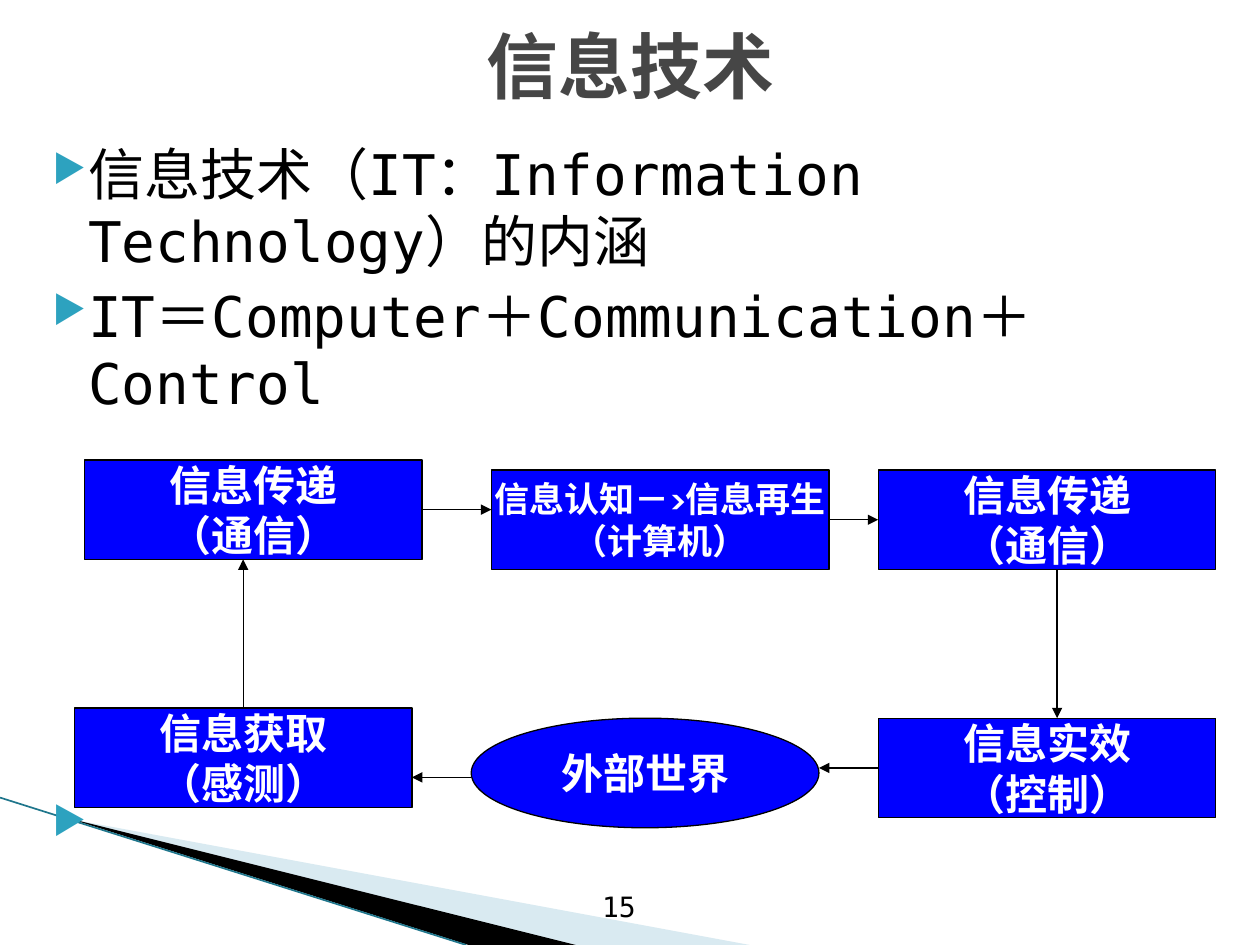
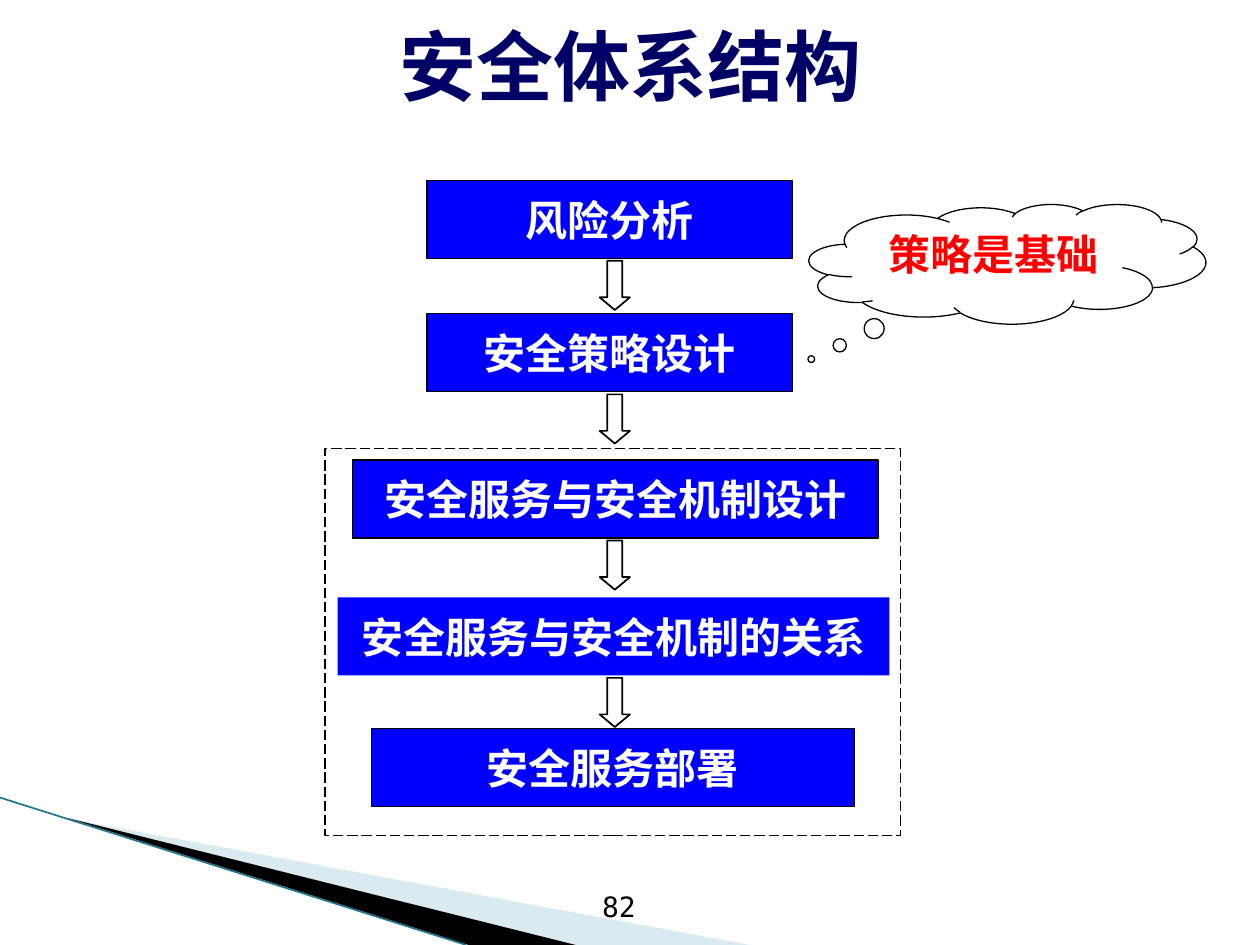
from lxml.etree import SubElement
from pptx import Presentation
from pptx.dml.color import RGBColor
from pptx.enum.dml import MSO_LINE
from pptx.enum.shapes import MSO_CONNECTOR, MSO_SHAPE
from pptx.enum.text import MSO_ANCHOR, PP_ALIGN
from pptx.oxml.ns import qn
from pptx.util import Emu, Inches, Pt

# The slide is a grid of 100 columns by 75 rows
COLS, ROWS = 100, 75
CELL = Inches(0.1)

BLACK = RGBColor(0x00, 0x00, 0x00)
WHITE = RGBColor(0xFF, 0xFF, 0xFF)
BLUE = RGBColor(0x00, 0x00, 0xFF)
RED = RGBColor(0xFF, 0x00, 0x00)
GREY = RGBColor(0x46, 0x46, 0x46)
NAVY = RGBColor(0x00, 0x00, 0x66)
PALE = RGBColor(0xA0, 0xCB, 0xDC)
TEAL = RGBColor(0x1F, 0x76, 0x8C)
BULLET = RGBColor(0x2D, 0xA2, 0xBF)

MONO, SANS = "DejaVu Sans Mono", "Cabin"
TOP, MIDDLE = MSO_ANCHOR.TOP, MSO_ANCHOR.MIDDLE
LEFT, CENTER = PP_ALIGN.LEFT, PP_ALIGN.CENTER


def grid(*cells):
    return [Emu(round(cell * CELL)) for cell in cells]


def child(parent, tag, **attrs):
    return SubElement(parent, qn(tag), **attrs)


def add_bullet(para):
    props = para._p.get_or_add_pPr()
    props.set("marL", str(Inches(0.4)))
    props.set("indent", str(Inches(-0.28)))
    child(child(props, "a:buClr"), "a:srgbClr", val=str(BULLET))
    child(props, "a:buSzPct", val="68000")
    child(props, "a:buChar", char="▶")


def write(shape, text, size=24, color=WHITE, font=SANS, bold=True, align=CENTER,
          anchor=MIDDLE, wrap=False, bullet=False, gaps=()):
    """Fill a shape with one paragraph per line; gaps go before later lines."""
    frame = shape.text_frame
    frame.word_wrap = wrap
    frame.vertical_anchor = anchor
    for i, line in enumerate(text.split("\n")):
        para = frame.paragraphs[0] if i == 0 else frame.add_paragraph()
        if bullet:
            add_bullet(para)
        para.alignment = align
        if i and gaps:
            para.space_before = Pt(gaps[i - 1])
        run = para.add_run()
        run.text = line
        run.font.name, run.font.size = font, Pt(size)
        run.font.bold, run.font.color.rgb = bold, color


def add_text(slide, area, text, **style):
    write(slide.shapes.add_textbox(*grid(*area)), text, wrap=True, font=MONO, **style)


def add_box(slide, area, text="", kind=MSO_SHAPE.RECTANGLE, fill=BLUE,
            edge=0.75, dash=None, adjust=(), **style):
    box = slide.shapes.add_shape(kind, *grid(*area))
    box.shadow.inherit = False
    for i, value in enumerate(adjust):
        box.adjustments[i] = value
    if fill is None:
        box.fill.background()
    else:
        box.fill.solid()
        box.fill.fore_color.rgb = fill
    if edge:
        box.line.color.rgb = BLACK
        box.line.width = Pt(edge)
        if dash:
            box.line.dash_style = dash
    else:
        box.line.fill.background()
    if text:
        write(box, text, **style)
    return box


def add_line(slide, start, end, color=BLACK, width=0.75, head=True,
             source=None, target=None):
    """Draw a line; source and target are (shape, side) pairs to join."""
    line = slide.shapes.add_connector(MSO_CONNECTOR.STRAIGHT, *grid(*start, *end))
    line.line.color.rgb = color
    line.line.width = Pt(width)
    props = line._element.spPr
    if head:
        child(props.find(qn("a:ln")), "a:tailEnd", type="triangle")
    child(props, "a:effectLst")
    if source:
        line.begin_connect(*source)
    if target:
        line.end_connect(*target)


def add_wedge(slide, points, color, alpha=None):
    first, *rest = [grid(*point) for point in points]
    form = slide.shapes.build_freeform(*first)
    form.add_line_segments(rest)
    wedge = form.convert_to_shape()
    wedge.shadow.inherit = False
    wedge.fill.solid()
    wedge.fill.fore_color.rgb = color
    wedge.line.fill.background()
    if alpha:
        tint = wedge._element.spPr.find(qn("a:solidFill"))[0]
        child(tint, "a:alpha", val=str(alpha * 1000))


def start_slide(deck, title, number, size, color):
    """Blank slide with the corner wedges, title and page number."""
    slide = deck.slides.add_slide(deck.slide_layouts[6])
    add_wedge(slide, [(5.5, 65), (59.5, ROWS), (45.6, ROWS)], PALE, alpha=40)
    add_wedge(slide, [(5.3, 64.9), (45.7, ROWS), (37.2, ROWS)], BLACK)
    add_line(slide, (0, 63.3), (37, ROWS), color=TEAL, width=0.95, head=False)
    add_text(slide, (2, 0.5, 96.1, 9.3), title, size=size, color=color)
    add_text(slide, (46.8, 70.1, 8.7, 4.9), number, size=16, color=BLACK,
             bold=False, align=LEFT, anchor=TOP)
    return slide


def build_cycle(deck):
    slide = start_slide(deck, "信息技术", "15", 41, GREY)
    add_text(slide, (2, 10.6, 96.1, 55.8),
             "信息技术（IT：Information Technology）的内涵\n"
             "IT＝Computer＋Communication＋Control\n ",
             size=32, color=BLACK, bold=False, align=LEFT, anchor=TOP,
             bullet=True, gaps=(4, 215))

    # Stages of the loop
    def stage(left, top, text, size=24):
        return add_box(slide, (left, top, 26.8, 7.9), text, size=size)

    send = stage(6.7, 36.5, "信息传递\n（通信）")
    think = stage(39, 37.3, "信息认知－>信息再生\n（计算机）", size=20)
    relay = stage(69.7, 37.3, "信息传递\n（通信）")
    act = stage(69.7, 57, "信息实效\n（控制）")
    sense = stage(5.9, 56.2, "信息获取\n（感测）")
    add_box(slide, (37.4, 57, 27.6, 8.7), "外部世界", kind=MSO_SHAPE.OVAL)

    # Arrows around the loop
    add_line(slide, (37.4, 61.7), (32.7, 61.7))
    add_line(slide, (19.3, 56.2), (19.3, 44.4), source=(sense, 0))
    add_line(slide, (33.5, 40.45), (39, 40.45), source=(send, 3))
    add_line(slide, (65.8, 41.25), (69.7, 41.25), source=(think, 3), target=(relay, 1))
    add_line(slide, (83.9, 45.2), (83.9, 57))
    add_line(slide, (69.7, 60.95), (65, 60.95), source=(act, 1))


def build_flow(deck):
    slide = start_slide(deck, "安全体系结构", "82", 44, NAVY)
    add_box(slide, (64.2, 16.2, 31.5, 9.5), "策略是基础", kind=MSO_SHAPE.CLOUD_CALLOUT,
            fill=WHITE, adjust=(-0.494, 0.795), color=RED, anchor=TOP, wrap=True)
    add_box(slide, (25.8, 35.6, 45.7, 30.7), fill=WHITE, dash=MSO_LINE.LONG_DASH)

    # Steps: left, top, width, edge, text
    steps = [
        (33.9, 14.3, 29, 0.75, "风险分析"),
        (33.9, 24.9, 29, 0.75, "安全策略设计"),
        (28, 36.5, 41.7, 0.75, "安全服务与安全机制设计"),
        (26.8, 47.4, 43.8, 0, "安全服务与安全机制的关系"),
        (29.5, 57.8, 38.3, 0.75, "安全服务部署"),
    ]
    tall = 6.2
    for left, top, wide, edge, text in steps:
        add_box(slide, (left, top, wide, tall), text, edge=edge)
    for step in steps[:-1]:
        add_box(slide, (47.6, step[1] + tall + 0.2, 2.4, 3.9), fill=None, edge=1,
                kind=MSO_SHAPE.DOWN_ARROW, adjust=(0.5, 0.417))


def main():
    deck = Presentation()
    deck.slide_width, deck.slide_height = grid(COLS, ROWS)
    build_cycle(deck)
    build_flow(deck)
    deck.save("out.pptx")


if __name__ == "__main__":
    main()
